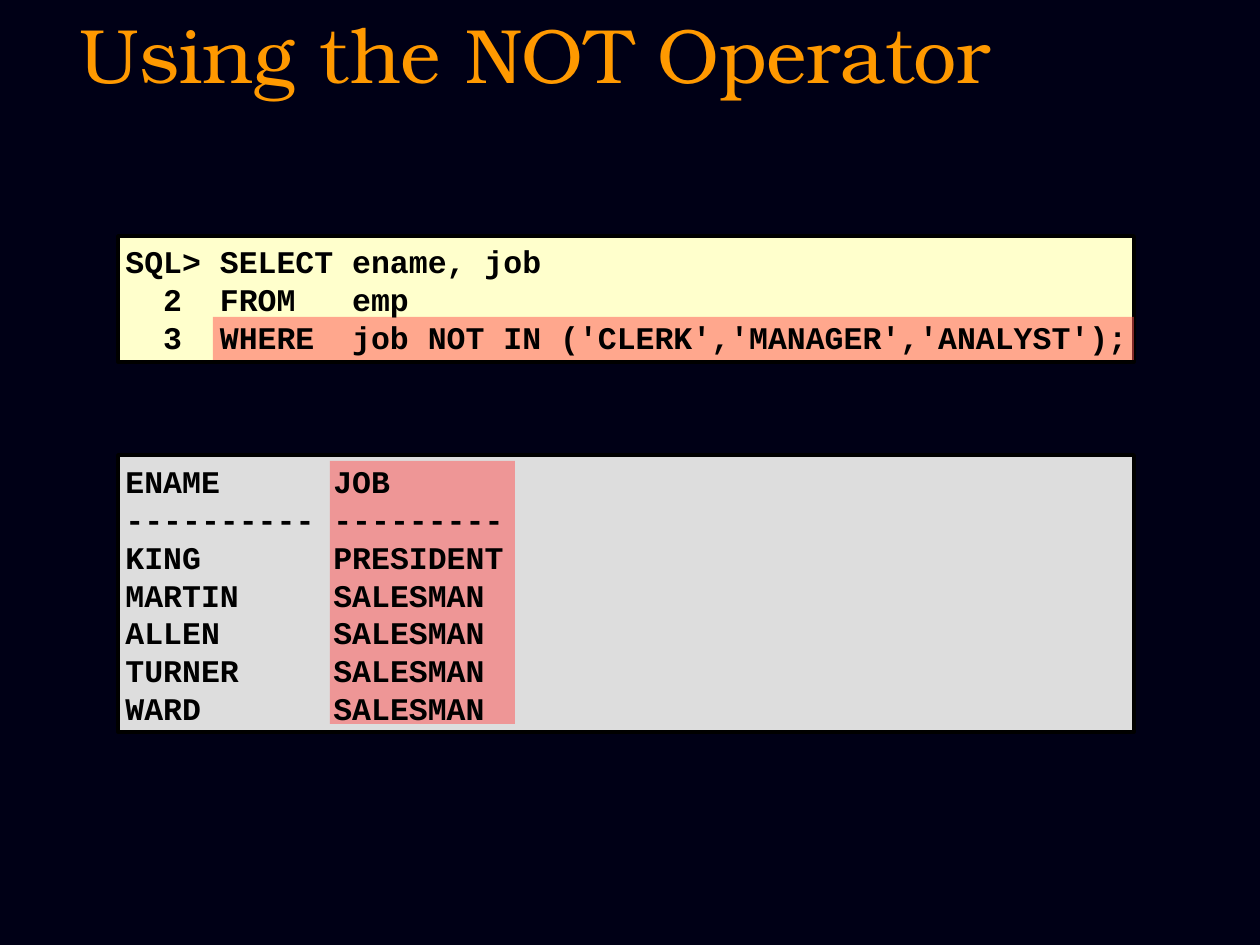
from lxml import etree
from pptx import Presentation
from pptx import util as u
from pptx.dml.color import RGBColor
from pptx.enum import shapes, text
from pptx.oxml import ns

PX_PER_INCH = 126
COLORS = {
    "background": "000016",
    "title": "FF9900",
    "ink": "000000",
    "query": "FFFFCC",
    "result": "DDDDDD",
    "highlight": "FF5050",
}
QUERY = [
    "SQL> SELECT ename, job",
    "  2  FROM   emp",
    "  3  WHERE  job NOT IN ('CLERK','MANAGER','ANALYST');",
]
RESULT = [
    "ENAME      JOB",
    "---------- ---------",
    "KING       PRESIDENT",
    "MARTIN     SALESMAN",
    "ALLEN      SALESMAN",
    "TURNER     SALESMAN",
    "WARD       SALESMAN",
]


def px(length):
    return u.Emu(round(length * u.Inches(1) / PX_PER_INCH))


def color(name):
    return RGBColor.from_string(COLORS[name])


def write_text(frame, lines, *, font, size, ink, bold=False, wrap=True,
               align=text.PP_ALIGN.LEFT, anchor=text.MSO_ANCHOR.MIDDLE):
    frame.word_wrap = wrap
    frame.auto_size = text.MSO_AUTO_SIZE.NONE
    frame.vertical_anchor = anchor
    for index, line in enumerate(lines):
        paragraph = frame.add_paragraph() if index else frame.paragraphs[0]
        paragraph.alignment = align
        run = paragraph.add_run()
        run.text = line
        run.font.name = font
        run.font.size = u.Pt(size)
        run.font.bold = bold
        run.font.color.rgb = color(ink)


def add_panel(slide, box, fill, alpha=None):
    """Outlined rectangle, or a borderless translucent one when alpha is given."""
    shape = slide.shapes.add_shape(shapes.MSO_SHAPE.RECTANGLE, *map(px, box))
    shape.shadow.inherit = False
    shape.fill.solid()
    shape.fill.fore_color.rgb = color(fill)
    if alpha is None:
        shape.line.color.rgb = color("ink")
        shape.line.width = u.Pt(2)
    else:
        shape.line.fill.background()
        fill_color = shape.fill._xPr.find(".//" + ns.qn("a:srgbClr"))
        etree.SubElement(fill_color, ns.qn("a:alpha"), val=str(alpha * 1000))


def add_code(slide, box, lines):
    frame = slide.shapes.add_textbox(*map(px, box)).text_frame
    write_text(frame, lines, font="Courier New", size=18, ink="ink",
               bold=True, wrap=False)


def add_title(slide, box, title):
    shape = slide.shapes.title
    shape.left, shape.top, shape.width, shape.height = map(px, box)
    write_text(shape.text_frame, [title], font="TeX Gyre Bonum", size=44,
               ink="title", align=text.PP_ALIGN.CENTER,
               anchor=text.MSO_ANCHOR.TOP)


def main():
    presentation = Presentation()
    presentation.slide_width, presentation.slide_height = px(1260), px(945)
    slide = presentation.slides.add_slide(presentation.slide_layouts[5])
    slide.background.fill.solid()
    slide.background.fill.fore_color.rgb = color("background")

    add_title(slide, (0, 0, 1071, 94), "Using the NOT Operator")

    # Panels behind the query and its result
    add_panel(slide, (118, 236, 1016, 126), "query")
    add_panel(slide, (118, 455, 1016, 277), "result")

    # Highlights on the WHERE clause and the JOB column
    add_panel(slide, (213, 317, 921, 43), "highlight", alpha=50)
    add_panel(slide, (330, 461, 185, 263), "highlight", alpha=50)

    # Code text
    add_code(slide, (113, 234, 1021, 130), QUERY)
    add_code(slide, (113, 454, 1037, 281), RESULT)

    presentation.save("out.pptx")


if __name__ == "__main__":
    main()
